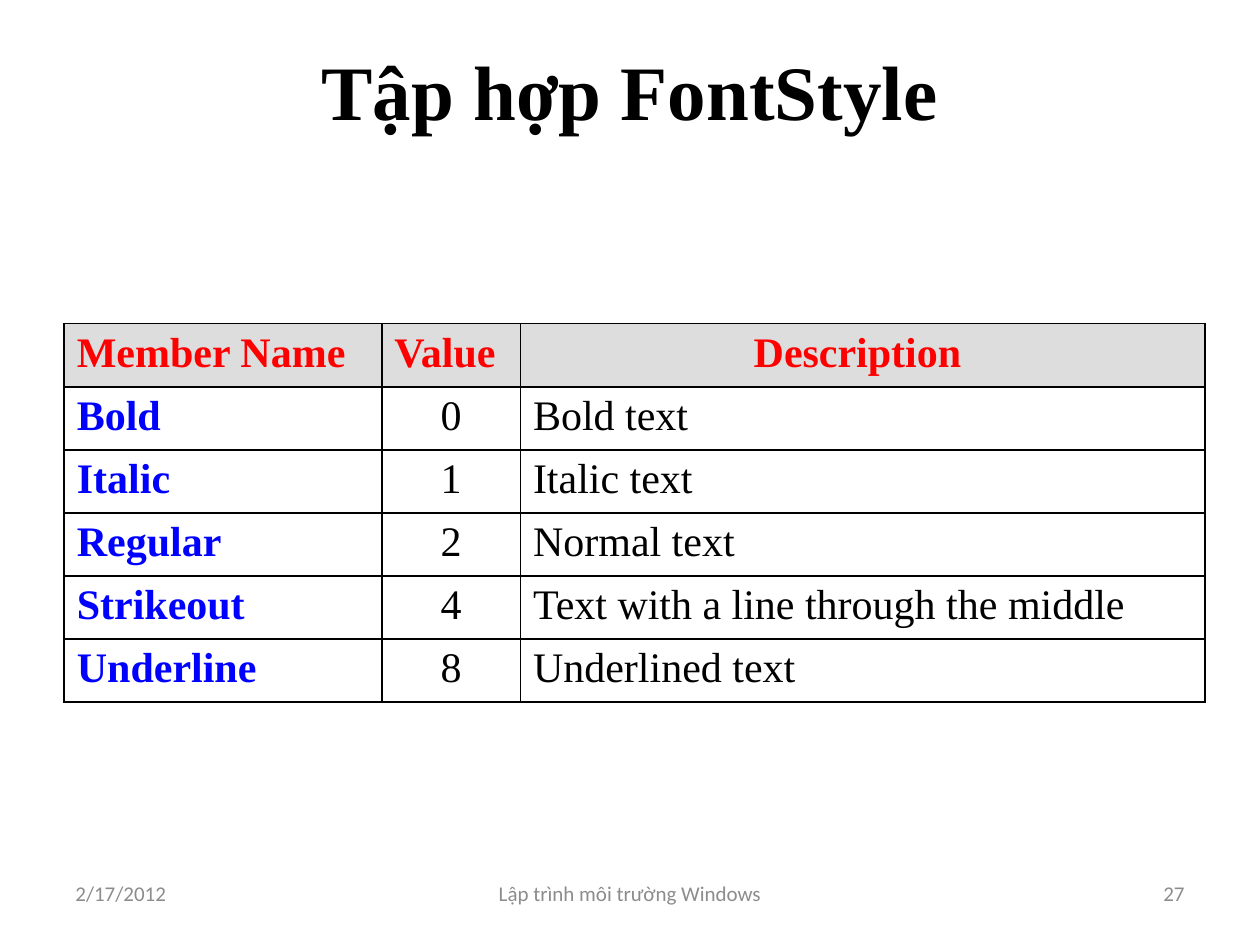
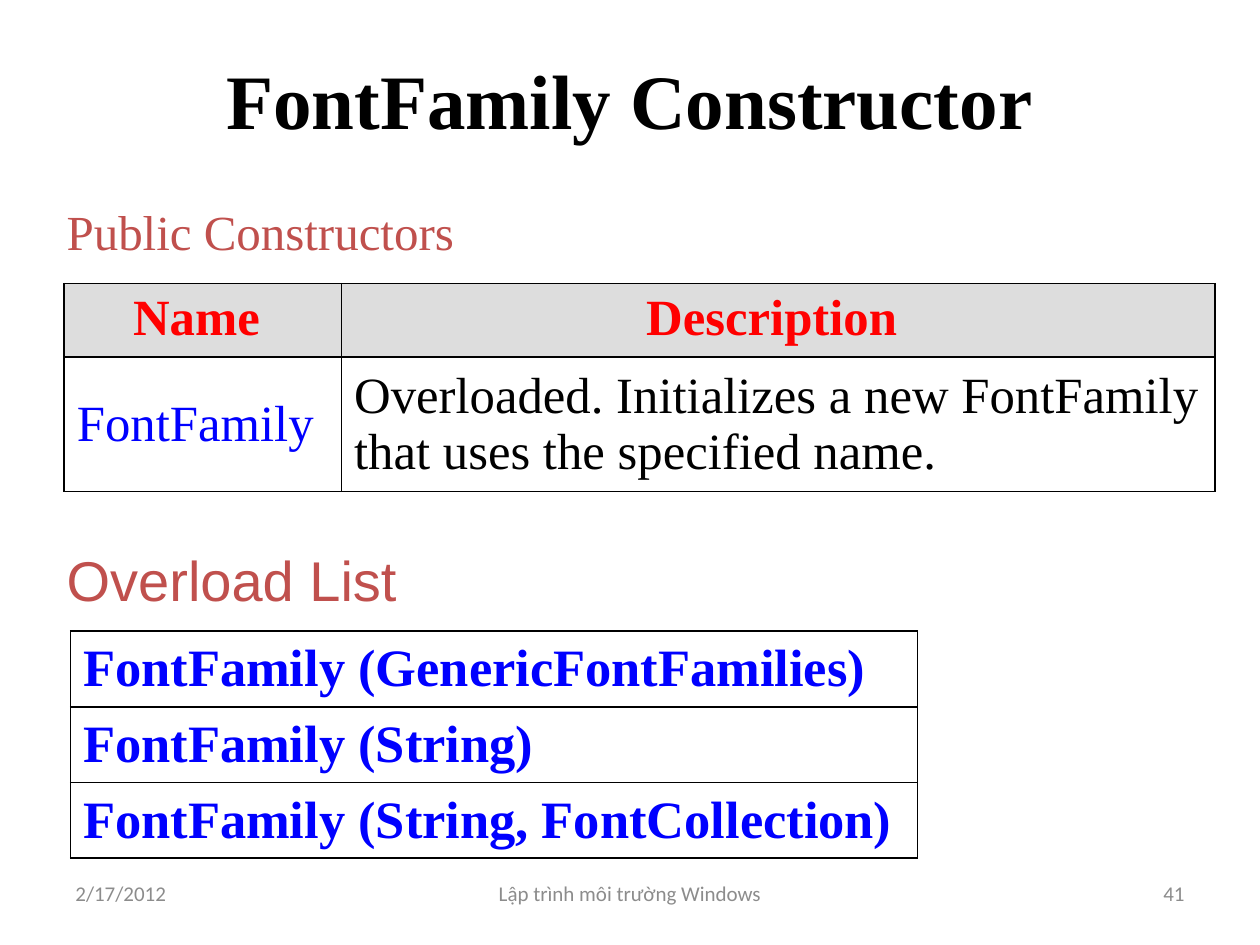
from lxml import etree
from pptx import Presentation
from pptx.dml.color import RGBColor
from pptx.enum.text import MSO_ANCHOR, PP_ALIGN
from pptx.oxml.ns import qn
from pptx.util import Pt

LEFT, CENTER, RIGHT = PP_ALIGN.LEFT, PP_ALIGN.CENTER, PP_ALIGN.RIGHT
TOP, MIDDLE = MSO_ANCHOR.TOP, MSO_ANCHOR.MIDDLE

BLACK = RGBColor(0x00, 0x00, 0x00)
RED = RGBColor(0xFF, 0x00, 0x00)
BLUE = RGBColor(0x00, 0x00, 0xFF)
BRICK = RGBColor(0xC0, 0x50, 0x4D)
GRAY = RGBColor(0x8C, 0x8C, 0x8C)
HEADER_FILL = RGBColor(0xDD, 0xDD, 0xDD)

SERIF, SANS, FOOTER_FONT = "Times New Roman", "Arial", "Calibri"

# Column formats: colour, bold, alignment
NAME = (BLUE, True, LEFT)
PLAIN_NAME = (BLUE, False, LEFT)
NUMBER = (BLACK, False, CENTER)
DESCRIPTION = (BLACK, False, LEFT)


class Deck:
    def __init__(self):
        self.prs = Presentation()
        self.prs.slide_width, self.prs.slide_height = Pt(720), Pt(540)
        self.s = None

    def slide(self, title, title_top, number):
        self.s = self.prs.slides.add_slide(self.prs.slide_layouts[6])
        self.text(title, (36, title_top, 648, 90), 44, SERIF, BLACK, True, CENTER)
        footers = (("2/17/2012", 36, 168, LEFT),
                   ("Lập trình môi trường Windows", 246, 228, CENTER),
                   (str(number), 516, 168, RIGHT))
        for text, left, width, align in footers:
            self.text(text, (left, 491.5, width, 37.5), 12, FOOTER_FONT, GRAY, align=align)

    def set_text(self, p, text, size, font, color, bold, align):
        p.text = text
        p.alignment = align
        p.font.size, p.font.name, p.font.bold = Pt(size), font, bold
        p.font.color.rgb = color

    def text(self, text, box, size, font, color, bold=False, align=LEFT, anchor=MIDDLE):
        tf = self.s.shapes.add_textbox(*map(Pt, box)).text_frame
        tf.word_wrap = True
        tf.vertical_anchor = anchor
        p = tf.paragraphs[0]
        self.set_text(p, text, size, font, color, bold, align)
        return p

    def heading(self, text, box, size, font):
        p = self.text(text, box, size, font, BRICK, anchor=TOP)
        p.line_spacing = 0.8
        p.space_before = Pt(3)

    def borders(self, cell):
        tc_pr = cell._tc.get_or_add_tcPr()
        for side in ("lnL", "lnR", "lnT", "lnB"):
            ln = etree.SubElement(tc_pr, qn("a:" + side), w=str(Pt(1)))
            fill = etree.SubElement(ln, qn("a:solidFill"))
            etree.SubElement(fill, qn("a:srgbClr"), val=str(BLACK))

    def table(self, left, top, widths, heights, rows, size, formats,
              header_aligns=(), anchor=MIDDLE):
        """Draw a ruled table; with header_aligns the first row is a header."""
        box = map(Pt, (left, top, sum(widths), sum(heights)))
        table = self.s.shapes.add_table(len(rows), len(widths), *box).table
        table.first_row = table.horz_banding = False
        for column, width in zip(table.columns, widths):
            column.width = Pt(width)
        for row, height in zip(table.rows, heights):
            row.height = Pt(height)
        for i, values in enumerate(rows):
            is_header = i == 0 and bool(header_aligns)
            for j, value in enumerate(values):
                cell = table.cell(i, j)
                self.borders(cell)
                if is_header:
                    color, bold, align = RED, True, header_aligns[j]
                    cell.fill.solid()
                    cell.fill.fore_color.rgb = HEADER_FILL
                else:
                    color, bold, align = formats[j]
                    cell.fill.background()
                cell.vertical_anchor = TOP if is_header else anchor
                self.set_text(cell.text_frame.paragraphs[0], value, size, SERIF,
                              color, bold, align)


def font_style_slide(deck):
    deck.slide("Tập hợp FontStyle", 6, 27)
    rows = [("Member Name", "Value", "Description "),
            ("Bold", "0", "Bold text"),
            ("Italic", "1", "Italic text"),
            ("Regular", "2", "Normal text"),
            ("Strikeout", "4", "Text with a line through the middle"),
            ("Underline", "8", "Underlined text")]
    deck.table(36.7, 185, (181.5, 79.2, 391.2), [34.5] * len(rows), rows, 24,
               (NAME, NUMBER, DESCRIPTION), (LEFT, LEFT, CENTER), TOP)


def font_family_slide(deck):
    deck.slide("FontFamily Constructor", 11.5, 41)
    deck.heading("Public Constructors", (31, 118, 296, 42), 28, SERIF)
    constructors = [
        ("Name ", "Description "),
        ("FontFamily",
         "Overloaded. Initializes a new FontFamily that uses the specified name.")]
    deck.table(36.7, 162, (158.5, 499), (39.5, 73.7), constructors, 29,
               (PLAIN_NAME, DESCRIPTION), (CENTER, CENTER))
    deck.heading("Overload List", (31, 315.4, 647, 47.5), 32, SANS)
    overloads = [("FontFamily (GenericFontFamilies)",),
                 ("FontFamily (String)",),
                 ("FontFamily (String, FontCollection)",)]
    deck.table(40.3, 360.7, (484,), [40.4] * len(overloads), overloads, 30, (NAME,))


def main():
    deck = Deck()
    font_style_slide(deck)
    font_family_slide(deck)
    deck.prs.save("out.pptx")


if __name__ == "__main__":
    main()
